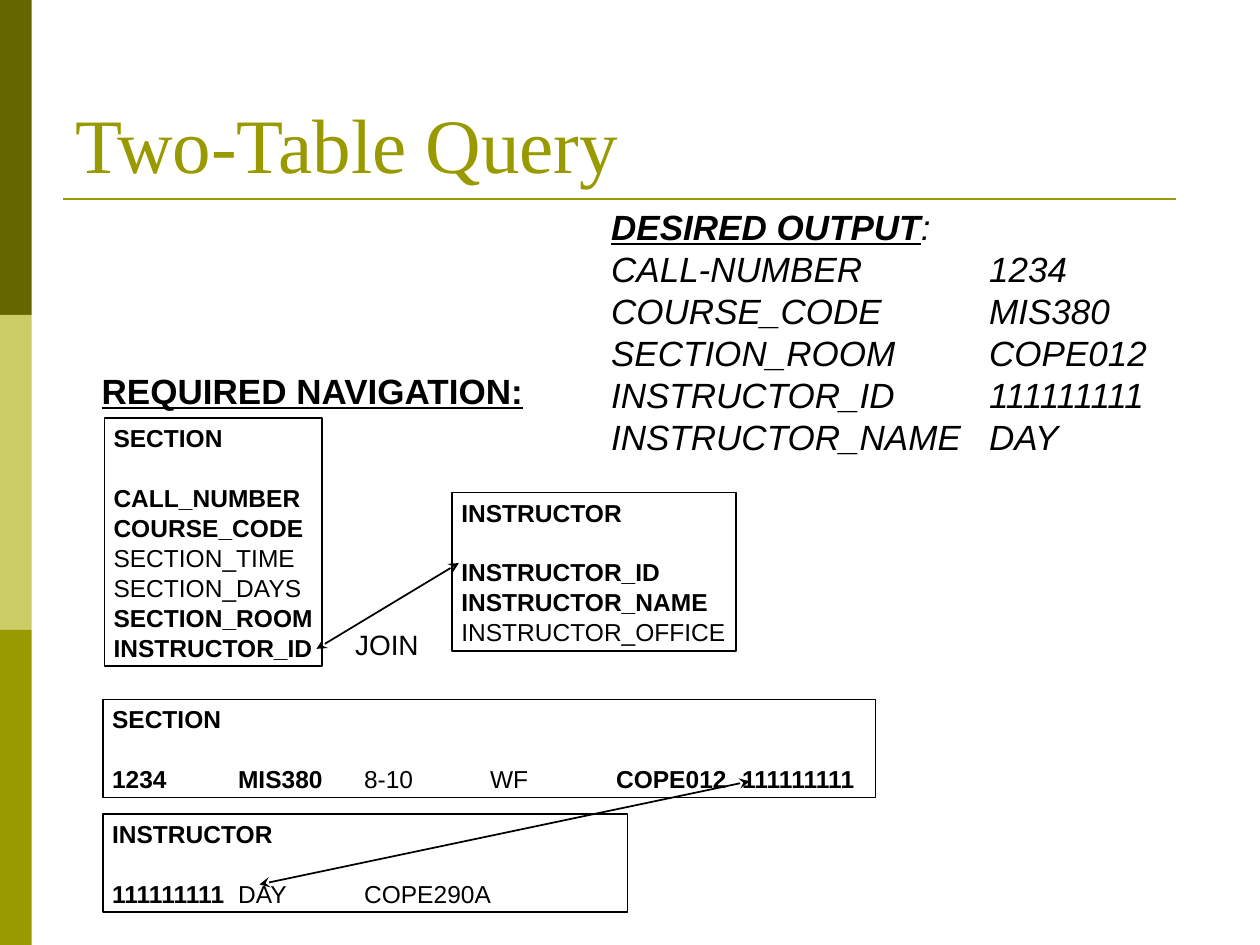
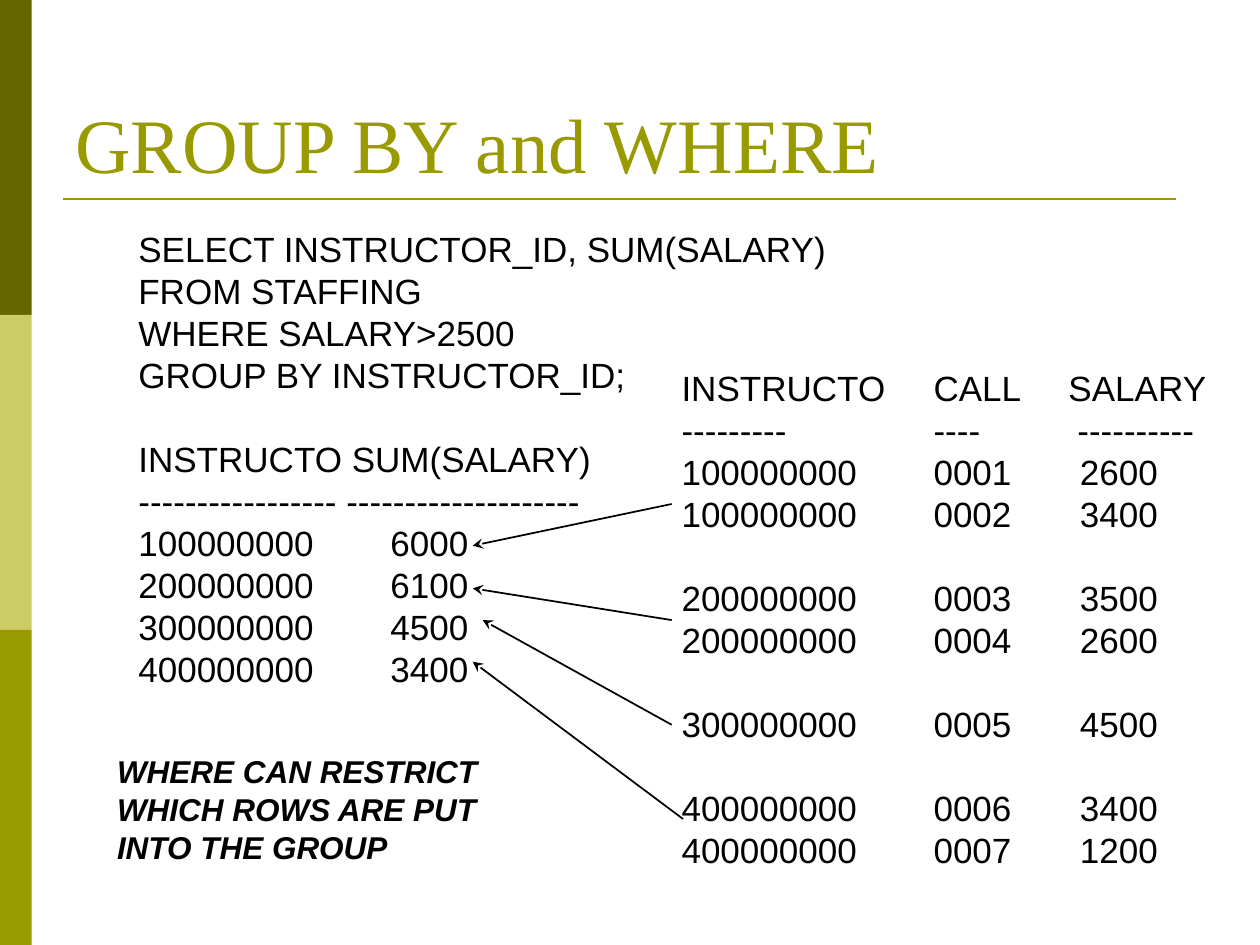
"""Build two slides on SQL joins and grouped queries."""
from dataclasses import dataclass
from typing import Optional

import pptx
import pptx.dml.color
import pptx.enum.shapes
import pptx.enum.text
import pptx.oxml
import pptx.oxml.ns
import pptx.util

Cm = pptx.util.Cm
Pt = pptx.util.Pt
RGBColor = pptx.dml.color.RGBColor
Anchor = pptx.enum.text.MSO_ANCHOR

BLACK = RGBColor(0x00, 0x00, 0x00)
WHITE = RGBColor(0xFF, 0xFF, 0xFF)
OLIVE = RGBColor(0x99, 0x99, 0x00)
DARK_OLIVE = RGBColor(0x66, 0x66, 0x00)
PALE_OLIVE = RGBColor(0xCC, 0xCC, 0x66)

BODY_FONT = "Arial"
TITLE_FONT = "Times New Roman"
LEADING = 1.2
BAND_WIDTH, BAND_HEIGHT = 0.64, 6.35
RULE_TOP = 4.01
COLUMN = 2.54


@dataclass(frozen=True)
class Span:
    """Words in one style; style holds any of b, i and u."""
    text: str
    style: str = ""


@dataclass(frozen=True)
class Line:
    """One paragraph with its tab stops in cm and empty lines above."""
    spans: tuple[Span, ...]
    tabs: tuple[float, ...] = ()
    gap: int = 0


@dataclass(frozen=True)
class Block:
    """A block of text placed in cm, framed when it shows a table."""
    left: float
    top: float
    width: float
    height: float
    lines: list[Line]
    size: int = 20
    framed: bool = False
    font: str = BODY_FONT
    color: RGBColor = BLACK
    anchor: Anchor = Anchor.TOP


@dataclass(frozen=True)
class Link:
    """An arrow in cm, pointing at its end or at both ends."""
    start: tuple[float, float]
    end: tuple[float, float]
    two_way: bool = False


def line(text: str, style: str = "", tabs: tuple[float, ...] = (), gap: int = 0) -> Line:
    """Make a line in a single style."""
    return Line((Span(text, style),), tabs, gap)


def write_line(paragraph, content: Line, block: Block) -> None:
    """Write a line into a paragraph and format its runs."""
    leading = block.size * LEADING * (1.02 if block.framed else 1)
    paragraph.alignment = pptx.enum.text.PP_ALIGN.LEFT
    paragraph.line_spacing = Pt(leading)
    paragraph.space_before = Pt(leading * content.gap)
    if content.tabs:
        properties = paragraph._p.get_or_add_pPr()
        stops = pptx.oxml.ns.qn("a:tabLst")
        stops = properties.makeelement(stops, {})
        properties.append(stops)
        for position in content.tabs:
            stop = stops.makeelement(pptx.oxml.ns.qn("a:tab"), {"pos": str(Cm(position)), "algn": "l"})
            stops.append(stop)
    for span in content.spans:
        run = paragraph.add_run()
        run.text = span.text
        run.font.name = block.font
        run.font.size = Pt(block.size)
        run.font.color.rgb = block.color
        run.font.bold = "b" in span.style
        run.font.italic = "i" in span.style
        run.font.underline = "u" in span.style


def draw_block(slide, block: Block) -> None:
    """Draw a text block, with a frame if it has one."""
    place = (Cm(block.left), Cm(block.top), Cm(block.width), Cm(block.height))
    if block.framed:
        holder = slide.shapes.add_shape(pptx.enum.shapes.MSO_SHAPE.RECTANGLE, *place)
        holder.shadow.inherit = False
        holder.fill.solid()
        holder.fill.fore_color.rgb = WHITE
        holder.line.color.rgb = BLACK
        holder.line.width = Pt(1)
    else:
        holder = slide.shapes.add_textbox(*place)
    frame = holder.text_frame
    frame.word_wrap = True
    frame.vertical_anchor = block.anchor
    frame.margin_left = Cm(0.18 if block.framed else 0.25)
    frame.margin_top = frame.margin_bottom = Cm(0.09 if block.framed else 0.13)
    frame.margin_right = Cm(0)
    for index, content in enumerate(block.lines):
        paragraph = frame.add_paragraph() if index else frame.paragraphs[0]
        write_line(paragraph, content, block)


def draw_line(slide, start: tuple[float, float], end: tuple[float, float],
              color: RGBColor, width: float, arrows: tuple[str, ...] = ()) -> None:
    """Draw a straight line with the named arrow ends."""
    connector = slide.shapes.add_connector(
        pptx.enum.shapes.MSO_CONNECTOR.STRAIGHT, *map(Cm, start + end))
    connector.line.color.rgb = color
    connector.line.width = Pt(width)
    outline = connector.line._get_or_add_ln()
    for arrow in arrows:
        outline.append(outline.makeelement(pptx.oxml.ns.qn(arrow), {"type": "stealth"}))
    properties = connector._element.spPr
    properties.append(properties.makeelement(pptx.oxml.ns.qn("a:effectLst"), {}))


def draw_link(slide, link: Link) -> None:
    """Draw an arrow between related values."""
    arrows: tuple[str, ...] = ("a:headEnd", "a:tailEnd") if link.two_way else ("a:tailEnd",)
    draw_line(slide, link.start, link.end, BLACK, 1, arrows)


def add_slide(deck, title: str, blocks: list[Block], links: list[Link]) -> None:
    """Add a slide with side bands, title, rule, text blocks and links."""
    slide = deck.slides.add_slide(deck.slide_layouts[6])
    for index, color in enumerate((DARK_OLIVE, PALE_OLIVE, OLIVE)):
        band = slide.shapes.add_shape(
            pptx.enum.shapes.MSO_SHAPE.RECTANGLE, Cm(0), Cm(index * BAND_HEIGHT),
            Cm(BAND_WIDTH), Cm(BAND_HEIGHT))
        band.shadow.inherit = False
        band.fill.solid()
        band.fill.fore_color.rgb = color
        band.line.fill.background()
    draw_line(slide, (1.27, RULE_TOP), (23.7, RULE_TOP), OLIVE, 1.5)
    heading = Block(1.27, 0.76, 22.86, 3.18, [line(title)], size=44,
                    font=TITLE_FONT, color=OLIVE, anchor=Anchor.BOTTOM)
    for block in [heading, *blocks]:
        draw_block(slide, block)
    for link in links:
        draw_link(slide, link)


def table_lines(name: str, fields: list[tuple[str, str]]) -> list[Line]:
    """List a table name and, one line below, its fields."""
    return [line(name, "b")] + [
        line(field, style, gap=int(index == 0)) for index, (field, style) in enumerate(fields)]


def record_lines(name: str, *spans: Span) -> list[Line]:
    """List a table name and, one line below, a row in even columns."""
    columns: tuple[Optional[float], ...] = tuple(COLUMN * number for number in range(1, 6))
    return [line(name, "b"), Line(spans, columns, gap=1)]


def add_join_slide(deck) -> None:
    """Add the slide on joining two tables."""
    output = [("CALL-NUMBER", "1234"), ("COURSE_CODE", "MIS380"), ("SECTION_ROOM", "COPE012"),
              ("INSTRUCTOR_ID", "111111111"), ("INSTRUCTOR_NAME", "DAY")]
    desired_output = [Line((Span("DESIRED OUTPUT", "biu"), Span(":", "i")))]
    desired_output += [line("\t".join(pair), "i", (3 * COLUMN,)) for pair in output]
    section = table_lines("SECTION", [
        ("CALL_NUMBER", "b"), ("COURSE_CODE", "b"), ("SECTION_TIME", ""),
        ("SECTION_DAYS", ""), ("SECTION_ROOM", "b"), ("INSTRUCTOR_ID", "b")])
    instructor = table_lines("INSTRUCTOR", [
        ("INSTRUCTOR_ID", "b"), ("INSTRUCTOR_NAME", "b"), ("INSTRUCTOR_OFFICE", "")])
    section_record = record_lines(
        "SECTION", Span("1234\tMIS380\t", "b"), Span("8-10\tWF\t"), Span("COPE012\t111111111", "b"))
    instructor_record = record_lines(
        "INSTRUCTOR", Span("111111111\t", "b"), Span("DAY\tCOPE290A"))
    add_slide(deck, "Two-Table Query", [
        Block(2.11, 8.43, 4.39, 5, section, 14, True),
        Block(9.12, 9.93, 5.72, 3.2, instructor, 14, True),
        Block(12.07, RULE_TOP, 11.66, 5.33, desired_output),
        Block(1.8, 7.32, 9.09, 1.09, [line("REQUIRED NAVIGATION:", "bu")]),
        Block(6.91, 12.52, 1.8, 0.94, [line("JOIN")], 16),
        Block(2.08, 14.1, 15.57, 1.98, section_record, 14, True),
        Block(2.08, 16.41, 10.57, 1.98, instructor_record, 14, True),
    ], [
        Link((6.38, 13.08), (9.25, 11.35), True),
        Link((5.23, 17.83), (15.11, 15.75), True),
    ])


def add_group_slide(deck) -> None:
    """Add the slide on grouping filtered rows."""
    query = [line(text) for text in (
        "SELECT INSTRUCTOR_ID, SUM(SALARY)", "FROM STAFFING",
        "WHERE SALARY>2500", "GROUP BY INSTRUCTOR_ID;")]
    query += [line("INSTRUCTO SUM(SALARY)", gap=1),
              line("----------------- --------------------")]
    totals = [("100000000", "6000"), ("200000000", "6100"),
              ("300000000", "4500"), ("400000000", "3400")]
    query += [line("\t".join(total), tabs=(2 * COLUMN,)) for total in totals]

    call_tab = 2 * COLUMN
    staffing = [line("INSTRUCTO\tCALL\tSALARY", tabs=(call_tab, 7.8)),
                line("---------\t----\t----------", tabs=(call_tab, 7.98))]
    salaries = [("100000000", "2600"), ("100000000", "3400"), ("200000000", "3500"),
                ("200000000", "2600"), ("300000000", "4500"), ("400000000", "3400"),
                ("400000000", "1200")]
    previous = salaries[0][0]
    for call, (instructor, salary) in enumerate(salaries, 1):
        staffing.append(line(f"{instructor}\t{call:04}\t{salary}", tabs=(call_tab, 8.03),
                             gap=int(instructor != previous)))
        previous = instructor

    remark = [line(text, "bi") for text in (
        "WHERE CAN RESTRICT", "WHICH ROWS ARE PUT", "INTO THE GROUP")]
    add_slide(deck, "GROUP BY and WHERE", [
        Block(2.54, 4.45, 14.61, 11.18, query),
        Block(13.49, 7.26, 11.13, 11.25, staffing),
        Block(2.11, 15.04, 7.95, 2.54, remark, 18),
    ], [
        Link((13.54, 14.61), (9.73, 12.5)),
        Link((13.54, 10.16), (9.53, 11)),
        Link((13.54, 12.5), (9.53, 11.86)),
        Link((13.77, 16.51), (9.53, 13.34)),
    ])


def main() -> None:
    """Build and save the deck."""
    deck = pptx.Presentation()
    deck.slide_width, deck.slide_height = Cm(25.4), Cm(19.05)
    add_join_slide(deck)
    add_group_slide(deck)
    deck.save("out.pptx")


if __name__ == "__main__":
    main()
